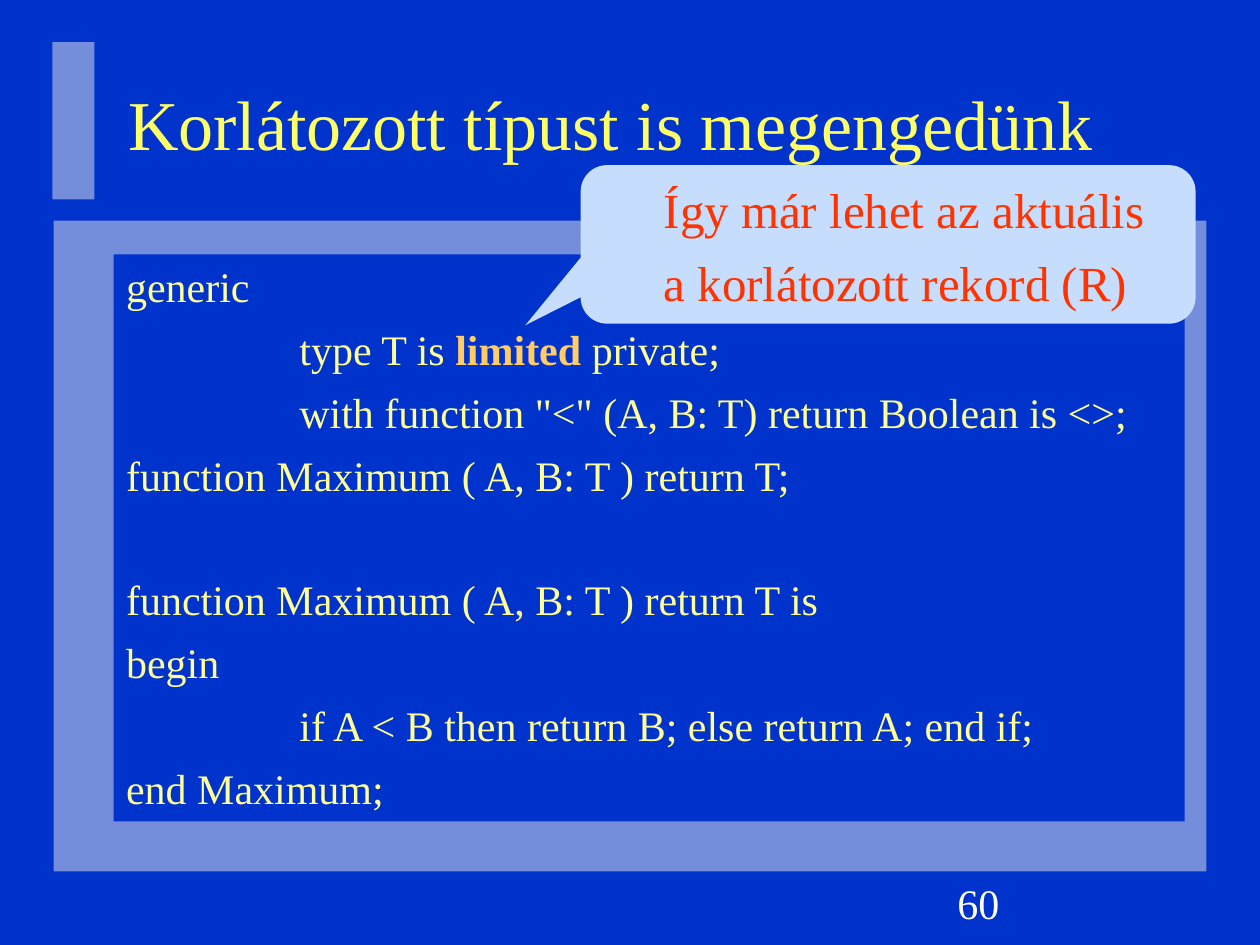
from dataclasses import dataclass

from lxml.etree import SubElement
from pptx import Presentation
from pptx.dml.color import RGBColor
from pptx.enum.shapes import MSO_SHAPE
from pptx.enum.text import MSO_ANCHOR, PP_ALIGN
from pptx.oxml.ns import qn
from pptx.util import Pt


@dataclass(frozen=True)
class Theme:
    font: str = "Times New Roman"
    background: str = "0033CC"
    panel: str = "EAEAEA"
    panel_opacity: int = 50
    title: str = "FFFF66"
    code: str = "FFFF99"
    keyword: str = "FFCC66"
    callout: str = "C6DDFE"
    callout_text: str = "FF3300"
    number: str = "FFFFFF"
    title_size: int = 40
    callout_size: int = 28
    text_size: int = 24
    spacing: float = 0.3  # space before a paragraph, as a share of its type size


class SlideBuilder:
    def __init__(self, slide, theme):
        self.slide = slide
        self.theme = theme
        slide.background.fill.solid()
        slide.background.fill.fore_color.rgb = RGBColor.from_string(theme.background)

    def shape(self, box, color, kind=MSO_SHAPE.RECTANGLE):
        shape = self.slide.shapes.add_shape(kind, *map(Pt, box))
        shape.shadow.inherit = False
        shape.fill.solid()
        shape.fill.fore_color.rgb = RGBColor.from_string(color)
        shape.line.fill.background()
        shape.text_frame.vertical_anchor = MSO_ANCHOR.TOP
        return shape

    def panel(self, box):
        """Add a half-transparent decorative rectangle."""
        shape = self.shape(box, self.theme.panel)
        color = shape.fill._xPr.find(".//" + qn("a:srgbClr"))
        SubElement(color, qn("a:alpha"), val=str(self.theme.panel_opacity * 1000))

    def format(self, paragraph, size, color, indent=0, space=0):
        paragraph.alignment = PP_ALIGN.LEFT
        paragraph.space_before = Pt(space)
        paragraph.font.name = self.theme.font
        paragraph.font.size = Pt(size)
        paragraph.font.color.rgb = RGBColor.from_string(color)
        paragraph._p.get_or_add_pPr().set("marL", str(Pt(indent)))

    def title(self, box, text):
        title = self.slide.shapes.title
        title.left, title.top, title.width, title.height = map(Pt, box)
        title.text_frame.text = text
        title.text_frame.vertical_anchor = MSO_ANCHOR.MIDDLE
        self.format(title.text_frame.paragraphs[0], self.theme.title_size, self.theme.title)

    def code(self, box, lines, keyword, indent):
        """Write (level, gap, text) lines; gap is extra space above, keyword is highlighted."""
        theme = self.theme
        frame = self.shape(box, theme.background).text_frame
        frame.word_wrap = True
        for index, (level, gap, text) in enumerate(lines):
            paragraph = frame.add_paragraph() if index else frame.paragraphs[0]
            space = theme.text_size * theme.spacing + gap
            self.format(paragraph, theme.text_size, theme.code, level * indent, space)
            before, found, after = text.partition(keyword)
            for part in filter(None, (before, found, after)):
                run = paragraph.add_run()
                run.text = part
                if part == keyword:
                    run.font.bold = True
                    run.font.color.rgb = RGBColor.from_string(theme.keyword)

    def callout(self, box, pointer, lines, indent):
        theme = self.theme
        shape = self.shape(box, theme.callout, MSO_SHAPE.ROUNDED_RECTANGULAR_CALLOUT)
        shape.adjustments[0], shape.adjustments[1] = pointer
        shape.text_frame.text = "\n".join(lines)
        for paragraph in shape.text_frame.paragraphs:
            self.format(paragraph, theme.callout_size, theme.callout_text, indent,
                        theme.callout_size * theme.spacing)

    def number(self, box, text):
        frame = self.slide.shapes.add_textbox(*map(Pt, box)).text_frame
        frame.word_wrap = True
        frame.vertical_anchor = MSO_ANCHOR.MIDDLE
        frame.text = text
        self.format(frame.paragraphs[0], self.theme.text_size, self.theme.number)


BLANK_LINE = 34.8
CODE = [
    (0, 0, "generic"),
    (1, 0, "type T is limited private;"),
    (1, 0, 'with function "<" (A, B: T) return Boolean is <>;'),
    (0, 0, "function Maximum ( A, B: T ) return T;"),
    (0, BLANK_LINE, "function Maximum ( A, B: T ) return T is"),
    (0, 0, "begin"),
    (1, 0, "if A < B then return B; else return A; end if;"),
    (0, 0, "end Maximum;"),
]


def main():
    presentation = Presentation()
    presentation.slide_width, presentation.slide_height = Pt(720), Pt(540)
    slide = presentation.slides.add_slide(presentation.slide_layouts[5])
    builder = SlideBuilder(slide, Theme())
    builder.panel((30.6, 126, 658.8, 372))
    builder.panel((30, 24, 24, 90))
    builder.title((66, 26.6, 612, 87), "Korlátozott típust is megengedünk")
    builder.code((65, 145.4, 612, 324), CODE, "limited", 99)
    builder.callout((331.8, 94.4, 351.4, 90.6), (-0.59, 0.51),
                    ["Így már lehet az aktuális", "a korlátozott rekord (R)"], 36)
    builder.number((540, 498, 150, 36), "60")
    presentation.save("out.pptx")


if __name__ == "__main__":
    main()
